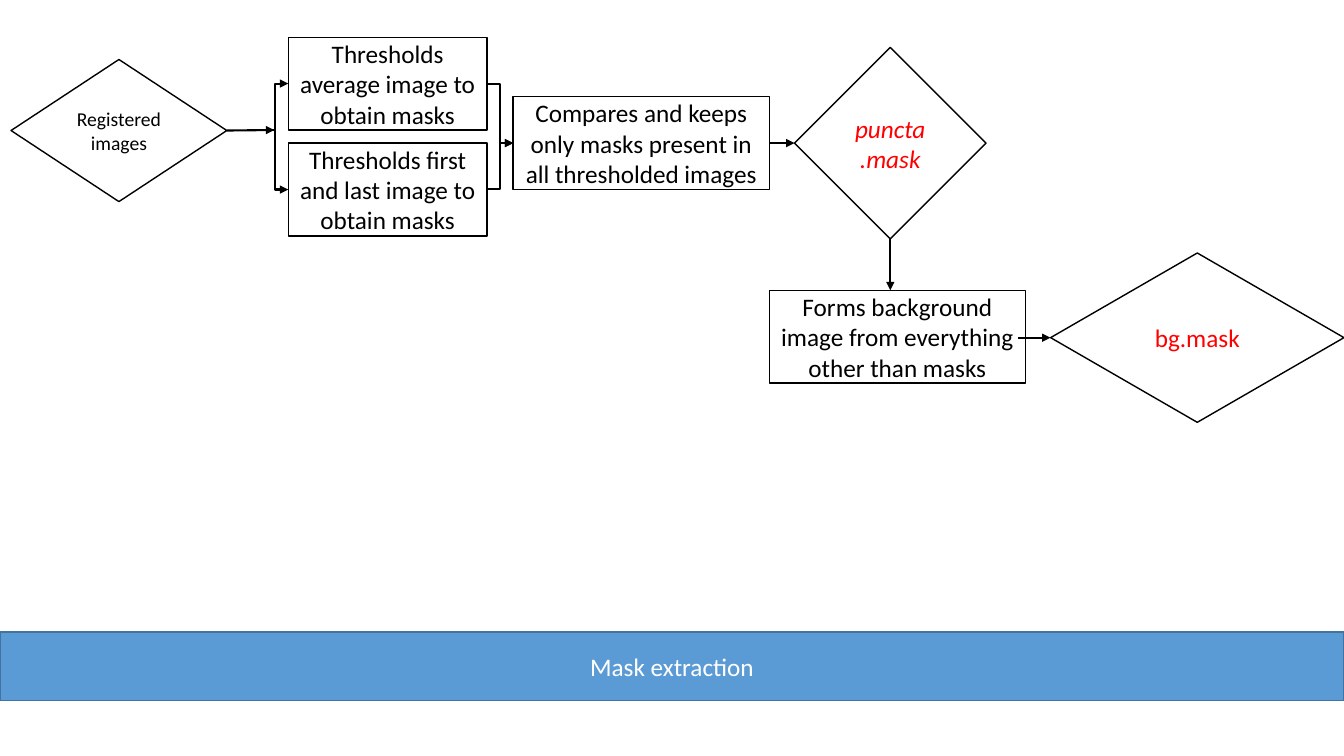
from dataclasses import dataclass

from lxml import etree
from pptx import Presentation
from pptx.dml.color import RGBColor
from pptx.enum import shapes, text
from pptx.oxml import ns
from pptx.util import Inches, Pt


@dataclass(frozen=True)
class Theme:
    font: str = "Calibri"
    ink: str = "000000"
    paper: str = "FFFFFF"
    result: str = "FF0000"
    banner: str = "5B9BD5"
    banner_edge: str = "43739E"
    body_size: float = 18
    small_size: float = 14
    outline: float = 1
    arrow: float = 1.5


THEME = Theme()
RECT = shapes.MSO_SHAPE.RECTANGLE
DIAMOND = shapes.MSO_SHAPE.DIAMOND
STRAIGHT = shapes.MSO_CONNECTOR.STRAIGHT
ELBOW = shapes.MSO_CONNECTOR.ELBOW
TOP, LEFT, BOTTOM, RIGHT = range(4)


def paint(box, fill, edge):
    box.fill.solid()
    box.fill.fore_color.rgb = RGBColor.from_string(fill)
    box.line.color.rgb = RGBColor.from_string(edge)
    box.line.width = Pt(THEME.outline)


def write(box, words, color, size=THEME.body_size, italic=False):
    frame = box.text_frame
    frame.word_wrap = True
    frame.auto_size = text.MSO_AUTO_SIZE.NONE
    frame.vertical_anchor = text.MSO_ANCHOR.MIDDLE
    para = frame.paragraphs[0]
    para.alignment = text.PP_ALIGN.CENTER
    span = para.add_run()
    span.text = words
    span.font.name = THEME.font
    span.font.size = Pt(size)
    span.font.italic = italic
    span.font.color.rgb = RGBColor.from_string(color)


def add_node(page, kind, place, words, color=THEME.ink, **style):
    box = page.shapes.add_shape(kind, *map(Inches, place))
    box.shadow.inherit = False
    paint(box, THEME.paper, THEME.ink)
    write(box, words, color, **style)
    return box


def add_step(page, left, top, width, words):
    return add_node(page, RECT, (left, top, width, 0.92), words)


def add_arrow(page, kind, start, end):
    line = page.shapes.add_connector(kind, *map(Inches, start + end))
    line.line.color.rgb = RGBColor.from_string(THEME.ink)
    line.line.width = Pt(THEME.arrow)
    etree.SubElement(line.line._get_or_add_ln(), ns.qn("a:tailEnd"), type="triangle")
    etree.SubElement(line._element.spPr, ns.qn("a:effectLst"))
    return line


def add_banner(page, words):
    banner = page.shapes.title
    banner.left, banner.top = Inches(0), Inches(6.27)
    banner.width, banner.height = Inches(13.33), Inches(0.68)
    paint(banner, THEME.banner, THEME.banner_edge)
    write(banner, words, THEME.paper)


def main():
    deck = Presentation()
    deck.slide_width, deck.slide_height = Inches(13.33), Inches(7.5)
    page = deck.slides.add_slide(deck.slide_layouts.get_by_name("Title Only"))

    average = add_step(page, 2.86, 0.37, 1.97, "Thresholds average image to obtain masks")
    first_last = add_step(page, 2.86, 1.42, 1.97, "Thresholds first and last image to obtain masks")
    compare = add_step(page, 5.09, 0.96, 2.54, "Compares and keeps only masks present in all thresholded images")
    add_step(page, 7.63, 2.88, 2.54, "Forms background image from everything other than masks")
    puncta = add_node(page, DIAMOND, (7.88, 0.47, 1.9, 1.9), "puncta.mask", THEME.result, italic=True)
    background = add_node(page, DIAMOND, (10.42, 2.51, 2.91, 1.68), "bg.mask", THEME.result)
    registered = add_node(page, DIAMOND, (0.11, 0.59, 2.14, 1.41), "Registered images", size=THEME.small_size)

    add_arrow(page, STRAIGHT, (2.25, 1.29), (2.72, 1.29)).begin_connect(registered, RIGHT)
    for threshold, middle in ((first_last, 1.88), (average, 0.83)):
        add_arrow(page, ELBOW, (2.6, 1.29), (2.86, middle)).end_connect(threshold, LEFT)
        merge = add_arrow(page, ELBOW, (4.83, middle), (5.09, 1.42))
        merge.begin_connect(threshold, RIGHT)
        merge.end_connect(compare, LEFT)
    keep = add_arrow(page, STRAIGHT, (7.63, 1.42), (7.88, 1.42))
    keep.begin_connect(compare, RIGHT)
    keep.end_connect(puncta, LEFT)
    add_arrow(page, STRAIGHT, (8.83, 2.37), (8.83, 2.88)).begin_connect(puncta, BOTTOM)
    add_arrow(page, STRAIGHT, (10.1, 3.35), (10.42, 3.35)).end_connect(background, LEFT)

    add_banner(page, "Mask extraction")
    deck.save("out.pptx")


if __name__ == "__main__":
    main()
